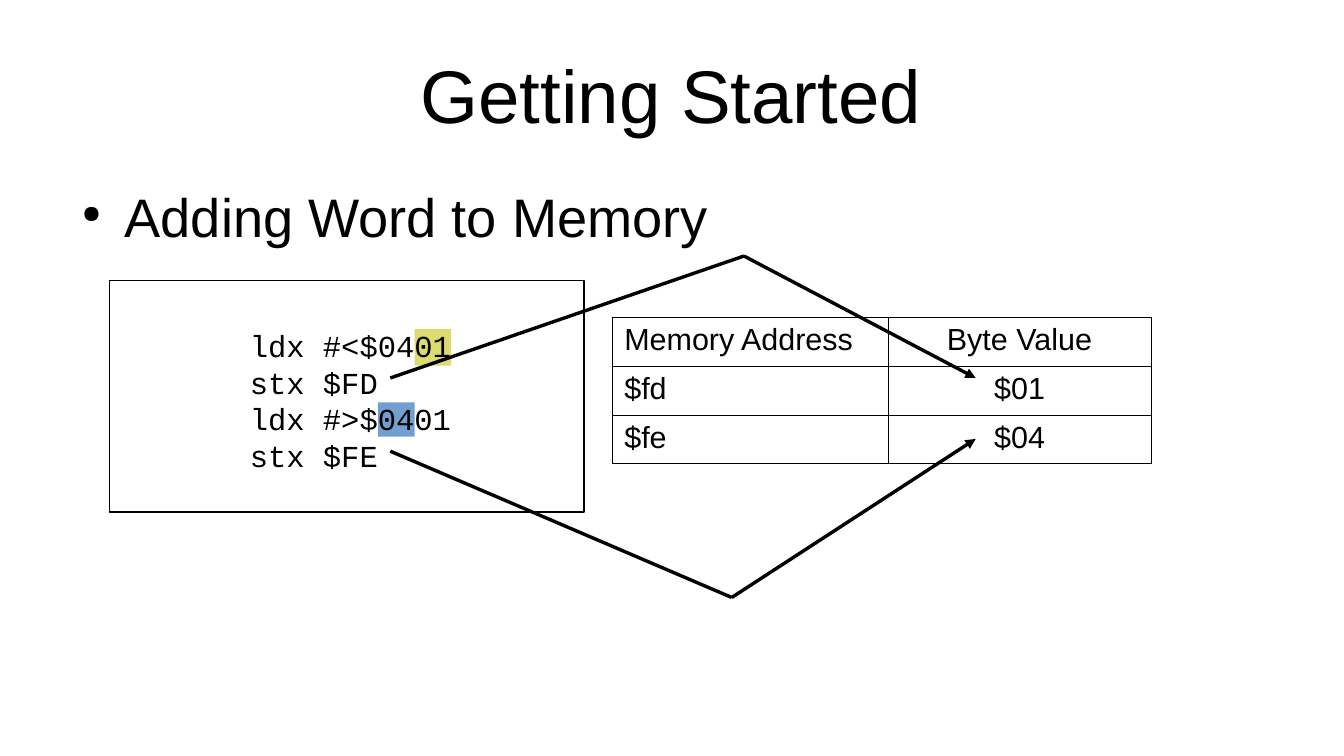
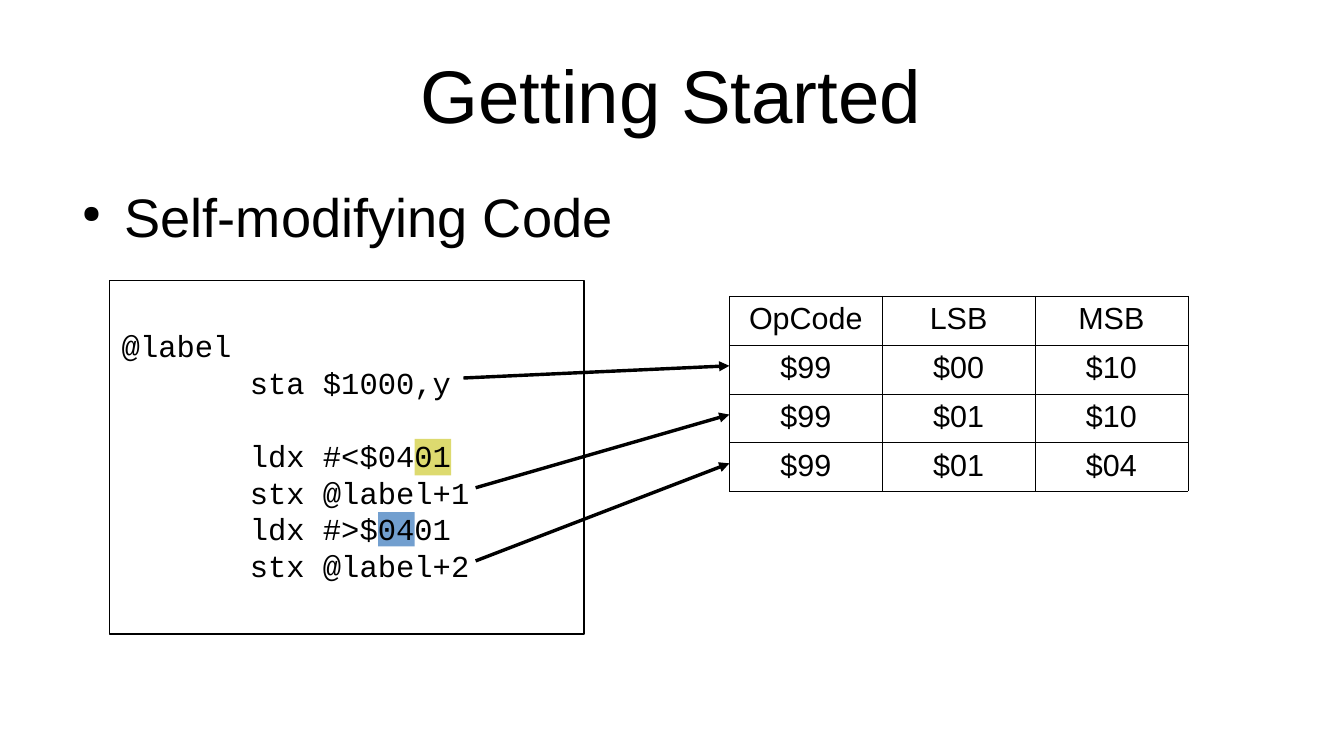
from lxml import etree
from pptx import Presentation
from pptx.dml.color import RGBColor
from pptx.enum import shapes, text
from pptx.oxml import ns
from pptx.util import Pt

BLACK = RGBColor(0x00, 0x00, 0x00)
WHITE = RGBColor(0xFF, 0xFF, 0xFF)
LOW_BYTE = RGBColor(0xDD, 0xDA, 0x6F)
HIGH_BYTE = RGBColor(0x72, 0x9F, 0xCF)
SANS, MONO = "Arial", "Courier New"

SLIDE_SIZE = (793.44, 446.4)
TITLE_BOX = (39.6, 18, 713.5, 74.2)
BULLET_BOX = (39.6, 108, 713.5, 255)
PANEL_LEFT, PANEL_TOP, PANEL_WIDTH = 64.8, 165.6, 280
CODE_SIZE = 18
LINE_HEIGHT = 21.6
CODE_TOP = 28.8
ROW_HEIGHT = 27.36
BORDER_SIDES = ("lnL", "lnR", "lnT", "lnB")


def points(values):
    return [Pt(value) for value in values]


def add_run(paragraph, words, size, font_name=SANS):
    run = paragraph.add_run()
    run.text = words
    run.font.size = Pt(size)
    run.font.name = font_name
    run.font.color.rgb = BLACK


def set_insets(frame, left=0, top=0, right=0, bottom=0):
    frame.margin_left, frame.margin_top = Pt(left), Pt(top)
    frame.margin_right, frame.margin_bottom = Pt(right), Pt(bottom)


def add_text_box(slide, box, anchor):
    frame = slide.shapes.add_textbox(*points(box)).text_frame
    frame.word_wrap = True
    frame.vertical_anchor = anchor
    set_insets(frame)
    return frame.paragraphs[0]


def add_title(slide, box, words):
    paragraph = add_text_box(slide, box, text.MSO_ANCHOR.MIDDLE)
    paragraph.alignment = text.PP_ALIGN.CENTER
    add_run(paragraph, words, 44)


def add_bullet(slide, box, words):
    paragraph = add_text_box(slide, box, text.MSO_ANCHOR.TOP)
    properties = paragraph._p.get_or_add_pPr()
    properties.set("marL", str(Pt(34)))
    properties.set("indent", str(-Pt(25.2)))
    color = etree.SubElement(properties, ns.qn("a:buClr"))
    etree.SubElement(color, ns.qn("a:srgbClr"), val=str(BLACK))
    etree.SubElement(properties, ns.qn("a:buSzPct"), val="45000")
    etree.SubElement(properties, ns.qn("a:buChar"), char="●")
    add_run(paragraph, words, 32)


def add_rectangle(slide, box, fill=None):
    """Add a filled rectangle without a line, or an outline without a fill."""
    shape = slide.shapes.add_shape(shapes.MSO_SHAPE.RECTANGLE, *points(box))
    shape.shadow.inherit = False
    if fill is None:
        shape.fill.background()
        shape.line.color.rgb = BLACK
        shape.line.width = Pt(0)
    else:
        shape.fill.solid()
        shape.fill.fore_color.rgb = fill
        shape.line.fill.background()
    return shape


def add_code_panel(slide, box, lines, low_row, high_row):
    """Draw framed code; an empty line is a gap above the next line."""
    left, top = box[:2]
    for row, offset, height, color in ((low_row, 180, 21.6, LOW_BYTE),
                                       (high_row, 158.4, 20.2, HIGH_BYTE)):
        place = (left + offset, top + CODE_TOP + row * LINE_HEIGHT, 21.6, height)
        add_rectangle(slide, place, color)
    frame = add_rectangle(slide, box).text_frame
    frame.word_wrap = True
    frame.vertical_anchor = text.MSO_ANCHOR.TOP
    set_insets(frame, 7.2, 27.7, 7.2, 3.6)
    paragraph, gap = frame.paragraphs[0], 0
    for line in lines:
        if not line:
            gap += LINE_HEIGHT
            continue
        if paragraph.runs:
            paragraph = frame.add_paragraph()
        paragraph.alignment = text.PP_ALIGN.LEFT
        paragraph.line_spacing = Pt(LINE_HEIGHT)
        paragraph.space_before = Pt(gap)
        add_run(paragraph, line, CODE_SIZE, MONO)
        gap = 0


def set_borders(cell):
    properties = cell._tc.get_or_add_tcPr()
    for index, side in enumerate(BORDER_SIDES):
        line = etree.Element(ns.qn("a:" + side), w=str(Pt(0.06)))
        fill = etree.SubElement(line, ns.qn("a:solidFill"))
        etree.SubElement(fill, ns.qn("a:srgbClr"), val=str(BLACK))
        properties.insert(index, line)


def add_memory_table(slide, left, top, widths, rows, first_alignment):
    box = (left, top, sum(widths), ROW_HEIGHT * len(rows))
    table = slide.shapes.add_table(len(rows), len(widths), *points(box)).table
    table.first_row = table.horz_banding = False
    for column, width in zip(table.columns, widths):
        column.width = Pt(width)
    for row_index, values in enumerate(rows):
        table.rows[row_index].height = Pt(ROW_HEIGHT)
        for column_index, value in enumerate(values):
            cell = table.cell(row_index, column_index)
            set_insets(cell, 7.2, 3.6, 7.2, 3.6)
            cell.fill.solid()
            cell.fill.fore_color.rgb = WHITE
            set_borders(cell)
            paragraph = cell.text_frame.paragraphs[0]
            paragraph.alignment = (text.PP_ALIGN.CENTER if column_index
                                   else first_alignment)
            add_run(paragraph, value, 18)


def add_route(slide, code_row, start_left, *stops):
    """Link a code row to the last stop, with an arrowhead there."""
    start_top = PANEL_TOP + CODE_TOP + (code_row + 1 / 3) * LINE_HEIGHT
    corners = [(start_left, start_top), *stops]
    for start, end in zip(corners, corners[1:]):
        connector = slide.shapes.add_connector(
            shapes.MSO_CONNECTOR.STRAIGHT, *points(start + end))
        connector.line.color.rgb = BLACK
        connector.line.width = Pt(0)
        etree.SubElement(connector._element.spPr, ns.qn("a:effectLst"))
    etree.SubElement(connector.line._get_or_add_ln(), ns.qn("a:tailEnd"),
                     type="triangle")


def add_base_slide(presentation, topic):
    slide = presentation.slides.add_slide(presentation.slide_layouts[6])
    slide.background.fill.solid()
    slide.background.fill.fore_color.rgb = WHITE
    add_title(slide, TITLE_BOX, "Getting Started")
    add_bullet(slide, BULLET_BOX, topic)
    return slide


def add_word_slide(presentation):
    slide = add_base_slide(presentation, "Adding Word to Memory")
    code = ["       ldx #<$0401", "       stx $FD",
            "       ldx #>$0401", "       stx $FE"]
    add_code_panel(slide, (PANEL_LEFT, PANEL_TOP, PANEL_WIDTH, 136.8), code, 0, 2)
    rows = [("Memory Address", "Byte Value"), ("$fd", "$01"), ("$fe", "$04")]
    add_memory_table(slide, 361.4, 187.2, (162.8, 155.4), rows,
                     text.PP_ALIGN.LEFT)
    add_route(slide, 1, 230.4, (439.2, 151.2), (576, 223.2))
    add_route(slide, 3, 230.4, (432, 352.8), (576, 259.2))


def add_self_modifying_slide(presentation):
    slide = add_base_slide(presentation, "Self-modifying Code")
    code = ["@label", "       sta $1000,y", "",
            "       ldx #<$0401", "       stx @label+1",
            "       ldx #>$0401", "       stx @label+2"]
    add_code_panel(slide, (PANEL_LEFT, PANEL_TOP, PANEL_WIDTH, 208.8), code, 3, 5)
    rows = [("OpCode", "LSB", "MSB"), ("$99", "$00", "$10"),
            ("$99", "$01", "$10"), ("$99", "$01", "$04")]
    table_left = 430.6
    add_memory_table(slide, table_left, 174.8, (90.2,) * 3, rows,
                     text.PP_ALIGN.CENTER)
    starts = ((1, 273.6), (4, 280.8), (6, 280.8))
    for index, (code_row, start_left) in enumerate(starts):
        add_route(slide, code_row, start_left, (table_left, 216 + index * 28.8))


def main():
    presentation = Presentation()
    presentation.slide_width, presentation.slide_height = points(SLIDE_SIZE)
    add_word_slide(presentation)
    add_self_modifying_slide(presentation)
    presentation.save("out.pptx")


if __name__ == "__main__":
    main()
